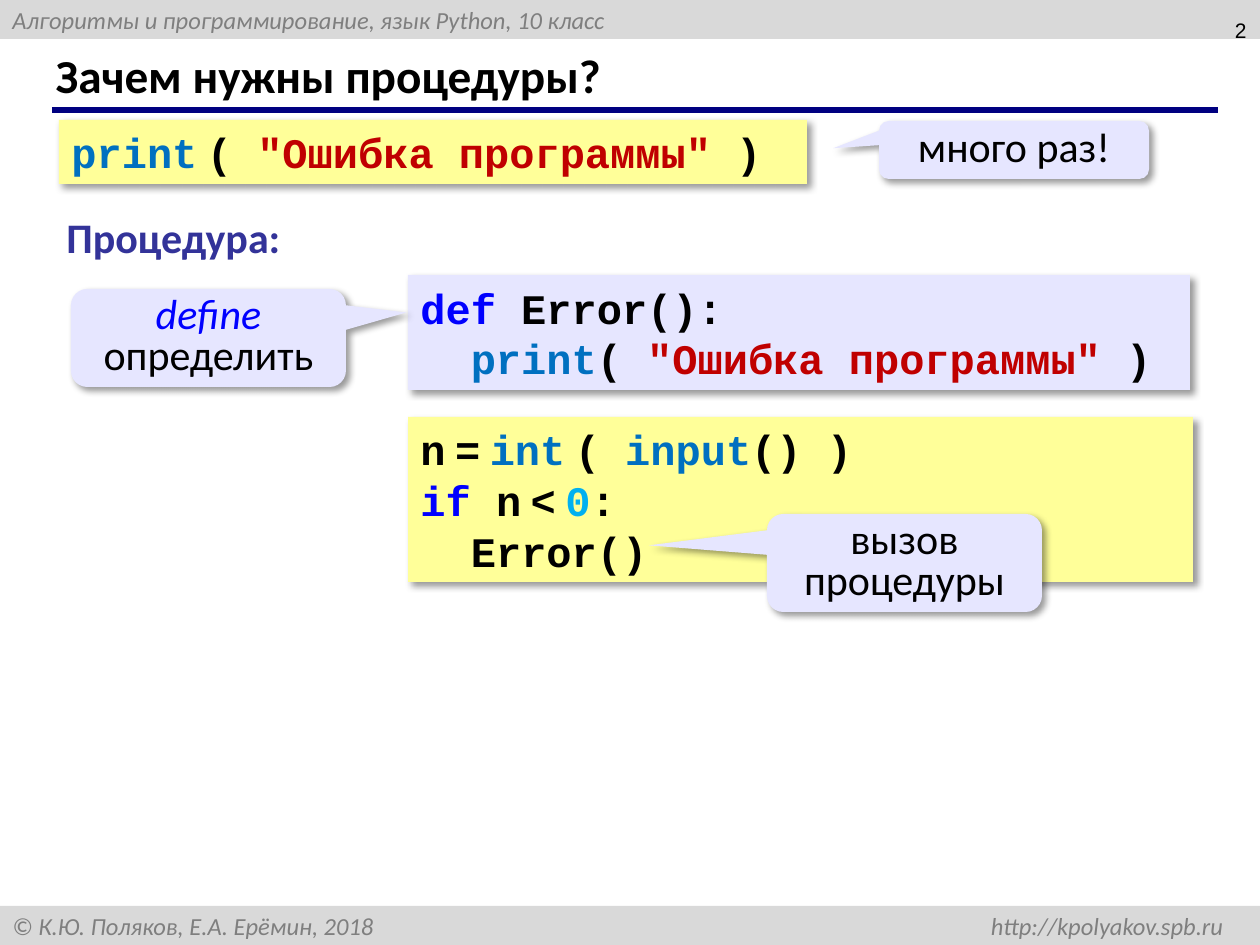
"""Builds a slide explaining why procedures are useful."""
from dataclasses import dataclass
from typing import Optional

from lxml import etree
from pptx import Presentation
from pptx import util as u
from pptx.dml.color import RGBColor
from pptx.enum import shapes, text
from pptx.oxml import ns

SCALE = 914400 / 126
BLACK = RGBColor(0, 0, 0)
GREY = RGBColor(0x7F, 0x7F, 0x7F)
BAND = RGBColor(0xD9, 0xD9, 0xD9)
NAVY = RGBColor(0, 0, 0x80)
INDIGO = RGBColor(0x33, 0x33, 0x99)
YELLOW = RGBColor(0xFF, 0xFF, 0x99)
LILAC = RGBColor(0xE6, 0xE6, 0xFF)
KEYWORD = RGBColor(0, 0, 0xFF)
BUILTIN = RGBColor(0, 0x70, 0xC0)
STRING = RGBColor(0xC0, 0, 0)
NUMBER = RGBColor(0, 0xB0, 0xF0)
LEFT, CENTER, RIGHT = text.PP_ALIGN.LEFT, text.PP_ALIGN.CENTER, text.PP_ALIGN.RIGHT
TOP, MIDDLE = text.MSO_ANCHOR.TOP, text.MSO_ANCHOR.MIDDLE


@dataclass
class Run:
    text: str
    color: RGBColor = BLACK
    italic: bool = False
    font: Optional[str] = None


@dataclass
class Box:
    place: tuple
    fill: RGBColor
    lines: list
    anchor: text.MSO_ANCHOR = TOP


@dataclass
class Callout:
    place: tuple
    tip: tuple
    runs: list


def px(pixels: float) -> int:
    return round(pixels * SCALE)


def write(shape, lines: list, *, font: str = "Calibri", size: int = 24, bold: bool = False,
          align=LEFT, anchor=TOP, spacing=None) -> None:
    frame = shape.text_frame
    frame.word_wrap = True
    frame.auto_size = text.MSO_AUTO_SIZE.NONE
    frame.vertical_anchor = anchor
    for index, runs in enumerate(lines):
        paragraph = frame.paragraphs[0] if index == 0 else frame.add_paragraph()
        paragraph.alignment = align
        paragraph.line_spacing = spacing
        for part in runs:
            run = paragraph.add_run()
            run.text = part.text
            run.font.name = part.font or font
            run.font.size = u.Pt(size)
            run.font.bold = bold
            run.font.italic = part.italic
            run.font.color.rgb = part.color


def add_filled(slide, kind, place: tuple, fill: RGBColor):
    shape = slide.shapes.add_shape(kind, *map(px, place))
    shape.shadow.inherit = False
    shape.fill.solid()
    shape.fill.fore_color.rgb = fill
    shape.line.fill.background()
    return shape


def add_shadow(shape) -> None:
    effects = shape._element.spPr.find(ns.qn("a:effectLst"))
    shadow = etree.SubElement(effects, ns.qn("a:outerShdw"), blurRad=str(u.Pt(4)),
                              dist=str(u.Pt(3)), dir="2700000", algn="tl", rotWithShape="0")
    color = etree.SubElement(shadow, ns.qn("a:srgbClr"), val=str(BLACK))
    etree.SubElement(color, ns.qn("a:alpha"), val="40000")


def add_band(slide, top: int, words: str) -> None:
    band = add_filled(slide, shapes.MSO_SHAPE.RECTANGLE, (0, top, 1260, 39), BAND)
    write(band, [[Run(words, GREY, True)]], size=14, anchor=MIDDLE)
    properties = band.text_frame.paragraphs[0]._p.get_or_add_pPr()
    tabs = etree.SubElement(properties, ns.qn("a:tabLst"))
    etree.SubElement(tabs, ns.qn("a:tab"), pos=str(px(1211)), algn="r")


def add_rule(slide) -> None:
    rule = slide.shapes.add_connector(
        shapes.MSO_CONNECTOR.STRAIGHT, *map(px, (52, 110, 1218, 110)))
    rule.line.color.rgb = NAVY
    rule.line.width = u.Pt(3)
    etree.SubElement(rule._element.spPr, ns.qn("a:effectLst"))


def add_code(slide, box: Box) -> None:
    shape = add_filled(slide, shapes.MSO_SHAPE.RECTANGLE, box.place, box.fill)
    add_shadow(shape)
    write(shape, box.lines, font="Courier New", bold=True, anchor=box.anchor, spacing=u.Pt(29))


def add_callout(slide, callout: Callout) -> None:
    shape = add_filled(slide, shapes.MSO_SHAPE.ROUNDED_RECTANGULAR_CALLOUT, callout.place, LILAC)
    for index, value in enumerate((*callout.tip, 0.167)):
        shape.adjustments[index] = value
    add_shadow(shape)
    write(shape, [callout.runs], align=CENTER, anchor=MIDDLE, spacing=0.8)


def add_label(slide, place: tuple, run: Run, **style) -> None:
    write(slide.shapes.add_textbox(*map(px, place)), [[run]], **style)


GAP = Run(" ", font="Calibri")
PRINT = Run("print", BUILTIN)
MESSAGE = [Run("( "), Run('"Ошибка программы" ', STRING), Run(")")]
CODE = [
    Box((59, 120, 748, 64), YELLOW, [[PRINT, GAP, *MESSAGE]]),
    Box((408, 275, 782, 115), LILAC,
        [[Run("def", KEYWORD), Run(" Error():")], [Run("  "), PRINT, *MESSAGE]], MIDDLE),
    Box((408, 417, 785, 165), YELLOW, [
        [Run("n"), GAP, Run("="), GAP, Run("int", BUILTIN), GAP, Run("( "),
         Run("input", BUILTIN), Run("() )")],
        [Run("if", KEYWORD), Run(" n"), GAP, Run("<"), GAP, Run("0", NUMBER), Run(":")],
        [Run("  Error()")]]),
]
CALLOUTS = [
    Callout((879, 121, 270, 58), (-0.67, -0.03), [Run("много раз!")]),
    Callout((767, 514, 275, 98), (-0.93, -0.18), [Run("вызов процедуры")]),
    Callout((71, 289, 275, 98), (0.72, -0.26),
            [Run("define ", KEYWORD, True), Run("определить")]),
]


def build() -> None:
    presentation = Presentation()
    presentation.slide_width, presentation.slide_height = px(1260), px(945)
    slide = presentation.slides.add_slide(presentation.slide_layouts[5])
    add_band(slide, 0, "Алгоритмы и программирование, язык Python, 10 класс")
    add_band(slide, 906, "© К.Ю. Поляков, Е.А. Ерёмин, 2018 \thttp://kpolyakov.spb.ru")
    add_rule(slide)
    title = slide.shapes.title
    title.left, title.top, title.width, title.height = map(px, (43, 42, 1154, 66))
    write(title, [[Run("Зачем нужны процедуры?")]], size=27, bold=True, anchor=MIDDLE)
    add_label(slide, (965, -3, 294, 66), Run("2"), font="Arial", size=12,
              align=RIGHT, anchor=MIDDLE)
    for box in CODE:
        add_code(slide, box)
    add_label(slide, (54, 205, 271, 64), Run("Процедура:", INDIGO), bold=True)
    for callout in CALLOUTS:
        add_callout(slide, callout)
    presentation.save("out.pptx")


build()
